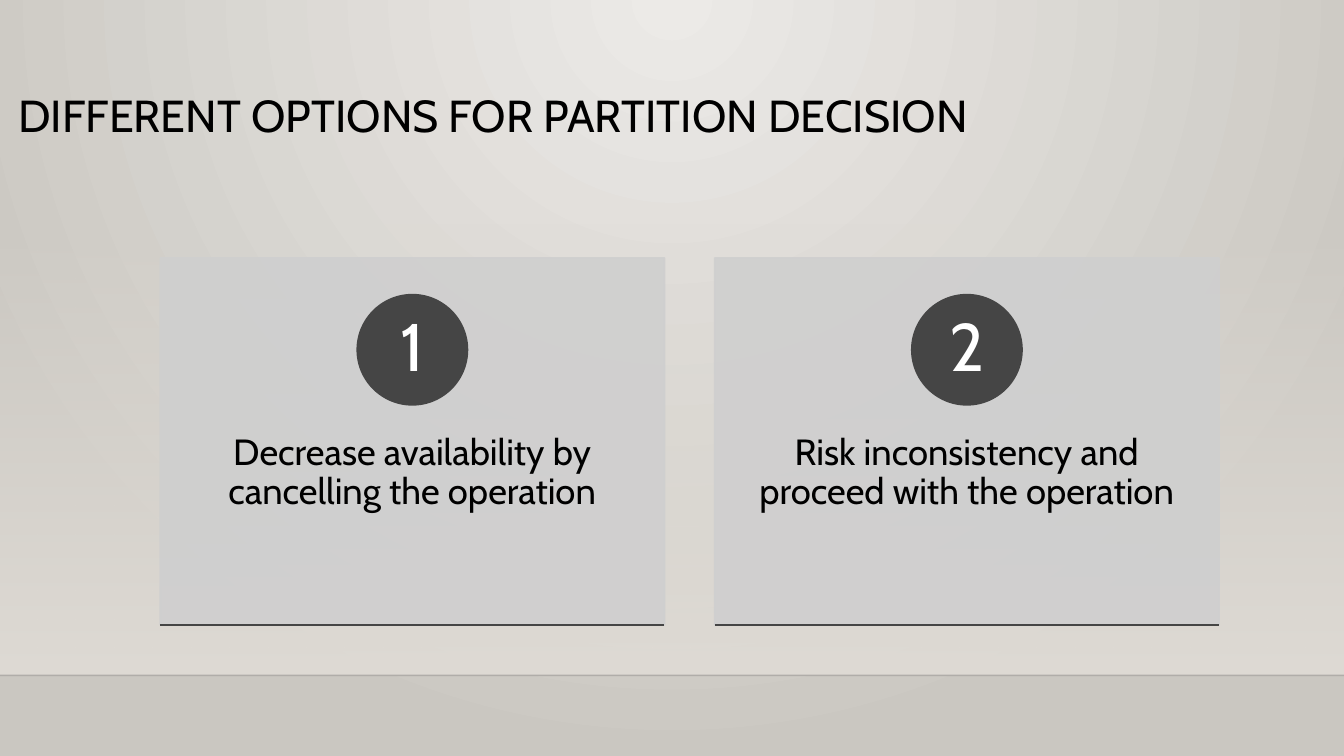
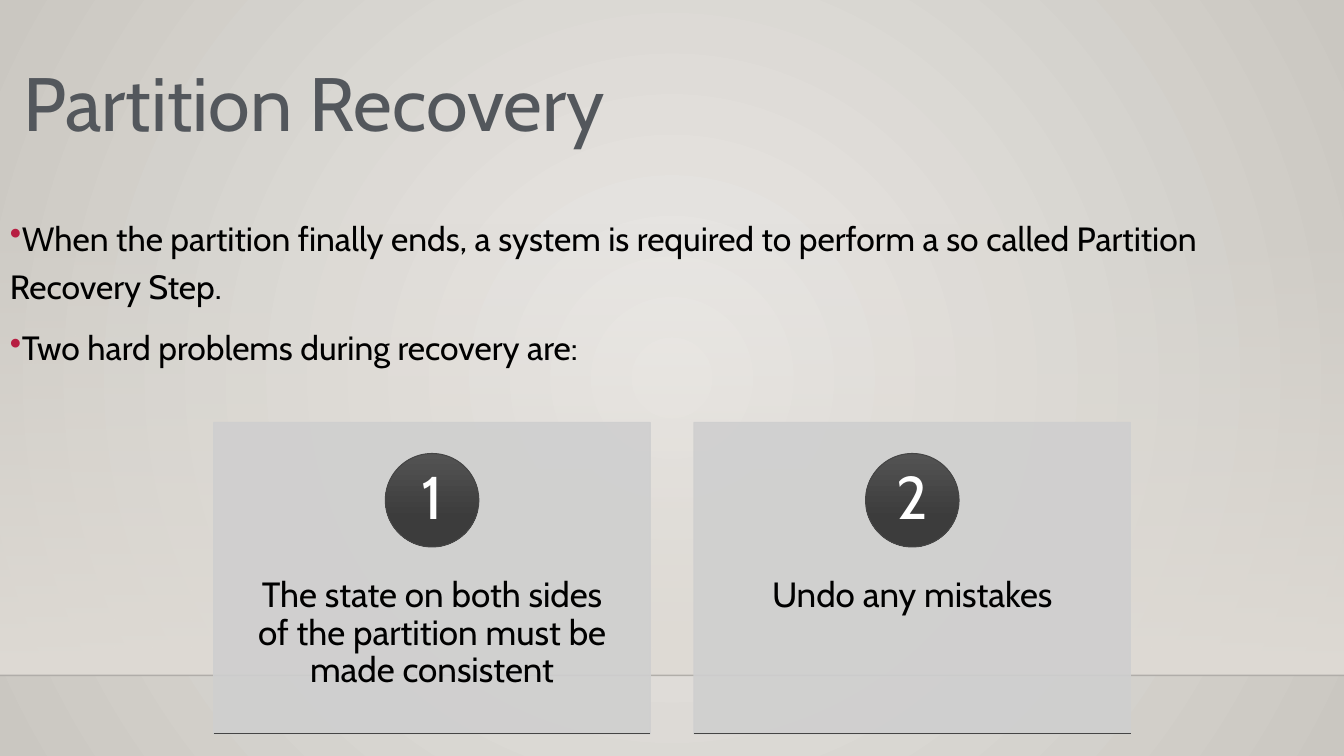
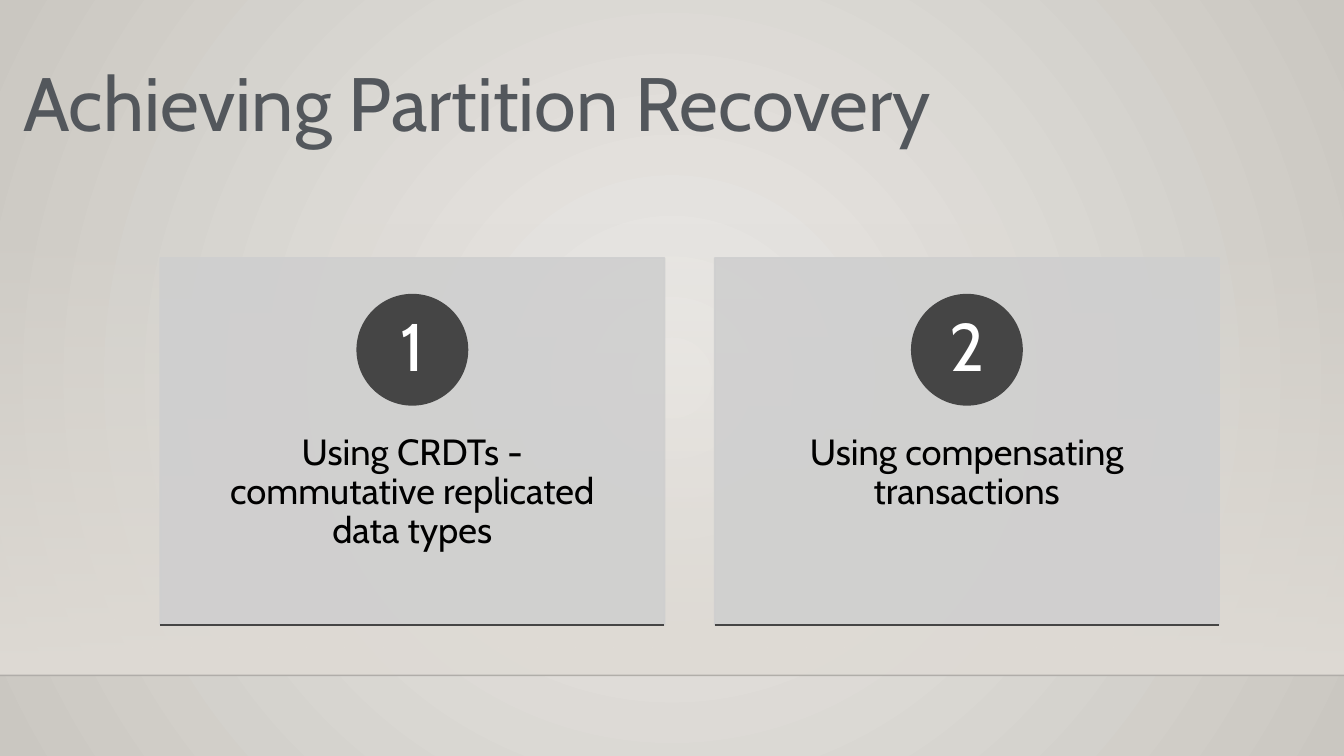
import pptx
import pptx.util
import pptx.dml.color
import pptx.enum.shapes
import pptx.enum.text
import pptx.oxml
import pptx.oxml.ns
import lxml.etree

Inches, Pt = pptx.util.Inches, pptx.util.Pt
RGB = pptx.dml.color.RGBColor.from_string
SHAPE = pptx.enum.shapes.MSO_SHAPE
STRAIGHT = pptx.enum.shapes.MSO_CONNECTOR.STRAIGHT
ALIGN = pptx.enum.text.PP_ALIGN
ANCHOR = pptx.enum.text.MSO_ANCHOR
qn = pptx.oxml.ns.qn

FONT = "Cabin"
C = {
    "glow": "ECEAE7", "edge": "CAC7C1", "wall": "DFDBD5", "horizon": "000001",
    "card": "CFCFCF", "badge": "454545", "ink": "000000", "title": "53575C",
    "white": "FFFFFF", "bullet": "B71E42",
}
BADGE_SHADES = [(0, "535353", 100), (69, "3C3C3C", 100), (100, "393939", 100)]
W, H = 13.33, 7.5
WALL_TOP, HORIZON = 2.21, 6.7


def set_gradient(owner, fill, stops, center=None):
    """Fill with (position, colour, opacity) stops, downwards or as rings around center (l, t, r, b)."""
    fill.gradient()
    grad = owner.element.xpath(".//a:gradFill")[0]
    for child in list(grad):
        grad.remove(child)
    gs_list = lxml.etree.SubElement(grad, qn("a:gsLst"))
    for pos, color, opacity in stops:
        gs = lxml.etree.SubElement(gs_list, qn("a:gs"), pos=str(pos * 1000))
        clr = lxml.etree.SubElement(gs, qn("a:srgbClr"), val=color)
        lxml.etree.SubElement(clr, qn("a:alpha"), val=str(opacity * 1000))
    if center:
        rings = lxml.etree.SubElement(grad, qn("a:path"), path="circle")
        sides = {k: str(v * 1000) for k, v in zip("ltrb", center)}
        lxml.etree.SubElement(rings, qn("a:fillToRect"), **sides)
    else:
        lxml.etree.SubElement(grad, qn("a:lin"), ang="5400000", scaled="0")


def write(sp, text, size, color, align, spacing, margins=(0.1, 0.05, 0.1, 0.05), anchor=ANCHOR.TOP):
    """Set and format the text; margins are left, top, right, bottom in inches."""
    tf = sp.text_frame
    tf.word_wrap = True
    tf.vertical_anchor = anchor
    tf.margin_left, tf.margin_top, tf.margin_right, tf.margin_bottom = map(Inches, margins)
    tf.text = text
    for p in tf.paragraphs:
        p.alignment = align
        p.line_spacing = spacing
        for r in p.runs:
            r.font.name = FONT
            r.font.size = Pt(size)
            r.font.color.rgb = RGB(color)


LARGE = {"x": 1.59, "y": 2.56, "w": 5, "h": 3.64, "size": 26, "number": 48, "line": 1.25, "shaded": False}
SMALL = {"x": 2.12, "y": 4.19, "w": 4.33, "h": 3.09, "size": 25, "number": 43, "line": 0.75, "shaded": True}
TOP, MIDDLE = (43, 0, 43, 100), (50, 50, 50, 50)
HEADING = {"y": 0.51, "w": 9.47, "h": 1.01, "size": 54, "color": C["title"], "spacing": 1, "left": 0.23}
CAPS = {"y": 0.88, "w": 12.09, "h": 1.15, "size": 32, "color": C["ink"], "spacing": 0.9, "left": 0.18}

slides = [
    ("DIFFERENT OPTIONS FOR PARTITION DECISION", CAPS, TOP, [], LARGE,
     ["Decrease availability by cancelling the operation",
      "Risk inconsistency and proceed with the operation"]),
    ("Partition Recovery", HEADING, MIDDLE,
     ["When the partition finally ends, a system is required to perform a so called Partition Recovery Step.",
      "Two hard problems during recovery are:"], SMALL,
     ["The state on both sides of the partition must be made consistent",
      "Undo any mistakes"]),
    ("Achieving Partition Recovery", HEADING, MIDDLE, [], LARGE,
     ["Using CRDTs - commutative replicated data types",
      "Using compensating transactions"]),
]

prs = pptx.Presentation()
prs.slide_width, prs.slide_height = Inches(W), Inches(H)

for title, style, center, bullets, grid, cards in slides:
    s = prs.slides.add_slide(prs.slide_layouts[6])
    set_gradient(s, s.background.fill, [(0, C["glow"], 100), (100, C["edge"], 100)], center)

    wall = s.shapes.add_shape(SHAPE.RECTANGLE, 0, Inches(WALL_TOP), Inches(W), Inches(HORIZON - WALL_TOP))
    wall.shadow.inherit = False
    wall.line.fill.background()
    set_gradient(wall, wall.fill, [(0, C["wall"], 0), (100, C["wall"], 100)])

    horizon = s.shapes.add_connector(STRAIGHT, 0, Inches(HORIZON), Inches(W), Inches(HORIZON))
    horizon.line.color.rgb = RGB(C["horizon"])
    horizon.line.width = Pt(1)
    clr = horizon.element.xpath("./p:spPr//a:srgbClr")[0]
    lxml.etree.SubElement(clr, qn("a:alpha"), val="20000")

    tb = s.shapes.add_textbox(0, Inches(style["y"]), Inches(style["w"]), Inches(style["h"]))
    write(tb, title, style["size"], style["color"], ALIGN.LEFT, style["spacing"],
          (style["left"], 0.05, 0.1, 0.05))

    if bullets:
        tb = s.shapes.add_textbox(0, Inches(2.03), Inches(W), Inches(1.66))
        write(tb, "\n".join(bullets), 24, C["ink"], ALIGN.LEFT, 1.2)
        for p in tb.text_frame.paragraphs:
            p.space_after = Pt(9)
            pPr = p._p.get_or_add_pPr()
            pPr.set("marL", "0")
            pPr.set("indent", str(-Inches(0.25)))
            bu_clr = lxml.etree.SubElement(pPr, qn("a:buClr"))
            lxml.etree.SubElement(bu_clr, qn("a:srgbClr"), val=C["bullet"])
            lxml.etree.SubElement(pPr, qn("a:buChar"), char="•")

    y, w, h = grid["y"], grid["w"], grid["h"]
    for i, text in enumerate(cards):
        x = grid["x"] + i * 1.1 * w
        card = s.shapes.add_shape(SHAPE.RECTANGLE, Inches(x), Inches(y), Inches(w), Inches(h))
        card.shadow.inherit = False
        card.fill.solid()
        card.fill.fore_color.rgb = RGB(C["card"])
        card.line.color.rgb = RGB(C["card"])
        card.line.width = Pt(grid["line"])
        for clr in card.element.xpath("./p:spPr//a:srgbClr"):
            lxml.etree.SubElement(clr, qn("a:alpha"), val="90000")
        side = 0.078 * w
        write(card, text, grid["size"], C["ink"], ALIGN.CENTER, 0.9, (side, 0.38 * h + 0.36, side, 0.36))

        d = 0.3 * h
        badge = s.shapes.add_shape(SHAPE.OVAL, Inches(x + (w - d) / 2), Inches(y + 0.1 * h), Inches(d), Inches(d))
        badge.shadow.inherit = False
        if grid["shaded"]:
            set_gradient(badge, badge.fill, BADGE_SHADES)
        else:
            badge.fill.solid()
            badge.fill.fore_color.rgb = RGB(C["badge"])
        badge.line.color.rgb = RGB(C["badge"])
        badge.line.width = Pt(grid["line"])
        write(badge, str(i + 1), grid["number"], C["white"], ALIGN.CENTER, 0.9,
              (0.08, 0.01, 0.08, 0.01), ANCHOR.MIDDLE)

        base = s.shapes.add_connector(STRAIGHT, Inches(x), Inches(y + h), Inches(x + w), Inches(y + h))
        base.line.color.rgb = RGB(C["badge"])
        base.line.width = Pt(grid["line"])

    for spPr in s.element.xpath(".//p:cxnSp/p:spPr"):
        lxml.etree.SubElement(spPr, qn("a:effectLst"))

prs.save("out.pptx")
